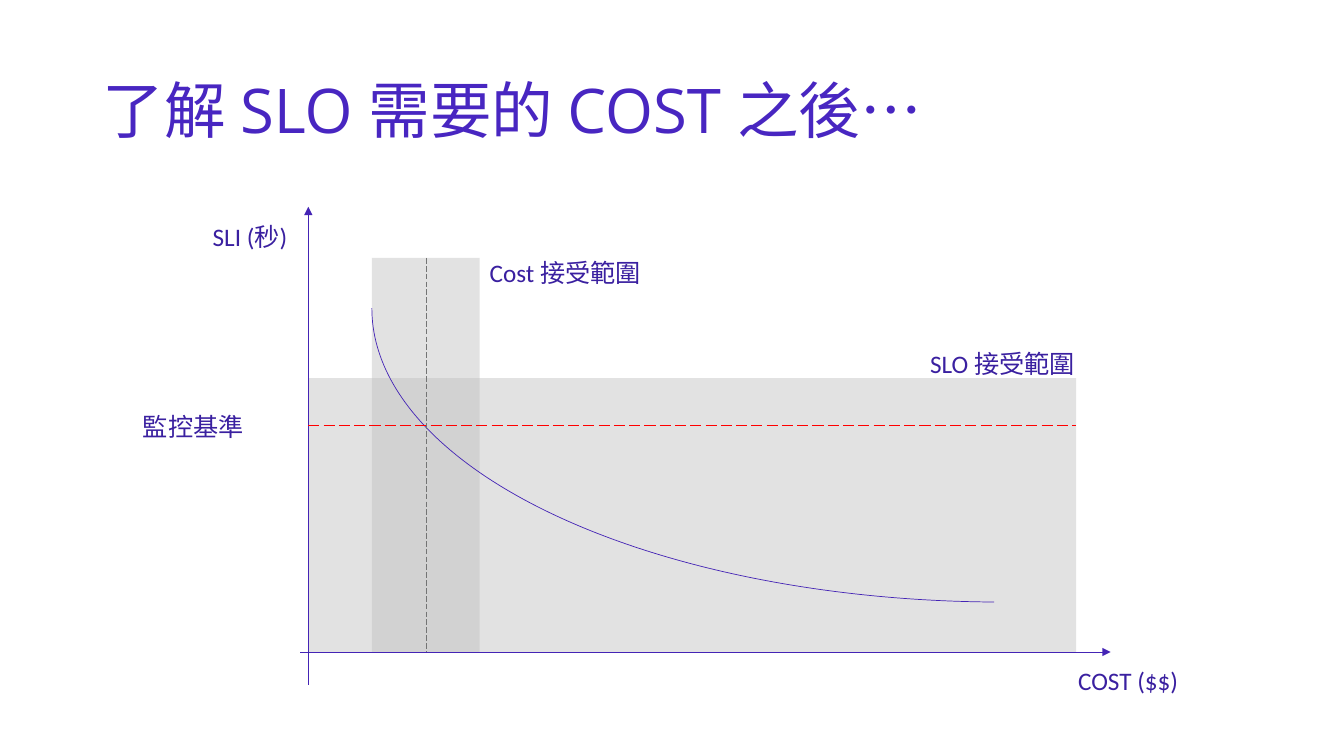
import pptx
import pptx.dml.color
import pptx.enum.dml
import pptx.enum.shapes
import pptx.enum.text
import pptx.oxml.ns
import pptx.util
from lxml import etree

Cm = pptx.util.Cm
Pt = pptx.util.Pt
SHAPES = pptx.enum.shapes.MSO_SHAPE
COLOURS = {
    "title": "4826C1",
    "axis": "4424B5",
    "label": "3A20A0",
    "band": "BFBFBF",
    "guide": "737474",
    "target": "FF0000",
}


def rgb(name):
    """Return the named colour."""
    return pptx.dml.color.RGBColor.from_string(COLOURS[name])


def add_span(para, text, font, size, colour):
    """Add one formatted run to a paragraph."""
    span = para.add_run()
    span.text = text
    span.font.name = font
    span.font.size = Pt(size)
    span.font.color.rgb = rgb(colour)


def add_title(page, left, top, width, height):
    """Place the title in the given box."""
    title = page.shapes.title
    title.left, title.top, title.width, title.height = map(Cm, (left, top, width, height))
    frame = title.text_frame
    frame.vertical_anchor = pptx.enum.text.MSO_ANCHOR.MIDDLE
    para = frame.paragraphs[0]
    para.alignment = pptx.enum.text.PP_ALIGN.LEFT
    para.line_spacing = 0.9
    add_span(para, "了解 SLO 需要的 COST 之後…", "Open Sans", 44, "title")


def add_band(page, left, top, width, height):
    """Add a translucent band for an accepted range."""
    band = page.shapes.add_shape(SHAPES.RECTANGLE, Cm(left), Cm(top), Cm(width), Cm(height))
    band.shadow.inherit = False
    band.fill.solid()
    band.fill.fore_color.rgb = rgb("band")
    band.line.fill.background()
    tint = band.fill._xPr.find(".//" + pptx.oxml.ns.qn("a:srgbClr"))
    etree.SubElement(tint, pptx.oxml.ns.qn("a:alpha"), val="44000")


def add_line(page, start, end, colour, weight=0.5, dashed=False, arrow=None):
    """Add a straight line, dashed or with an arrowhead on request."""
    line = page.shapes.add_connector(
        pptx.enum.shapes.MSO_CONNECTOR.STRAIGHT, *map(Cm, start + end))
    line.line.color.rgb = rgb(colour)
    line.line.width = Pt(weight)
    if dashed:
        line.line.dash_style = pptx.enum.dml.MSO_LINE.LONG_DASH
    if arrow:
        outline = line.line._get_or_add_ln()
        etree.SubElement(outline, pptx.oxml.ns.qn("a:" + arrow), type="triangle")
    etree.SubElement(line._element.spPr, pptx.oxml.ns.qn("a:effectLst"))


def add_curve(page, left, top, width, height):
    """Add the falling curve as part of a half-turned ellipse."""
    curve = page.shapes.add_shape(SHAPES.ARC, Cm(left), Cm(top), Cm(width), Cm(height))
    curve.shadow.inherit = False
    curve.rotation = 180
    curve.adjustments[0] = 163.024
    curve.adjustments[1] = 0
    curve.fill.background()
    curve.line.color.rgb = rgb("axis")
    curve.line.width = Pt(0.5)


def add_label(page, text, left, top, width):
    """Add one label of the diagram."""
    box = page.shapes.add_textbox(Cm(left), Cm(top), Cm(width), Cm(1.02))
    box.text_frame.word_wrap = True
    add_span(box.text_frame.paragraphs[0], text, "Calibri", 18, "label")


def add_diagram(page, left, top, width, height):
    """Draw the diagram with its axes along the left and bottom of the box."""
    bottom = top + height
    band_width = width - 0.87
    cost_left, cost_top, slo_top = left + 1.6, top + 1.29, top + 4.32
    target_x, target_y = left + 2.97, top + 5.51

    add_band(page, cost_left, cost_top, 2.72, bottom - cost_top)
    add_band(page, left, slo_top, band_width, bottom - slo_top)
    add_line(page, (left, top), (left, bottom + 0.82), "axis", arrow="headEnd")
    add_line(page, (left - 0.2, bottom), (left + width, bottom), "axis", arrow="tailEnd")
    add_curve(page, cost_left, top - 4.85, 31.8, 14.81)
    add_line(page, (target_x, cost_top), (target_x, bottom), "guide", dashed=True)
    add_line(page, (left, target_y), (left + band_width, target_y), "target", 1, dashed=True)

    labels = [
        ("SLI (秒)", -2.66, 0.25, 2.41),
        ("COST ($$)", 19.15, 11.43, 3.07),
        ("Cost 接受範圍", 4.32, 1.14, 4.37),
        ("SLO 接受範圍", 15.42, 3.45, 4.19),
        ("監控基準", -4.42, 5.03, 3.07),
    ]
    for text, right, down, label_width in labels:
        add_label(page, text, left + right, top + down, label_width)


def main():
    """Build and save the deck."""
    deck = pptx.Presentation()
    deck.slide_width, deck.slide_height = Cm(33.87), Cm(19.05)
    page = deck.slides.add_slide(deck.slide_layouts[5])
    add_title(page, 2.34, 1.02, 29.21, 3.68)
    add_diagram(page, 7.77, 5.21, 20.22, 11.22)
    deck.save("out.pptx")


if __name__ == "__main__":
    main()
